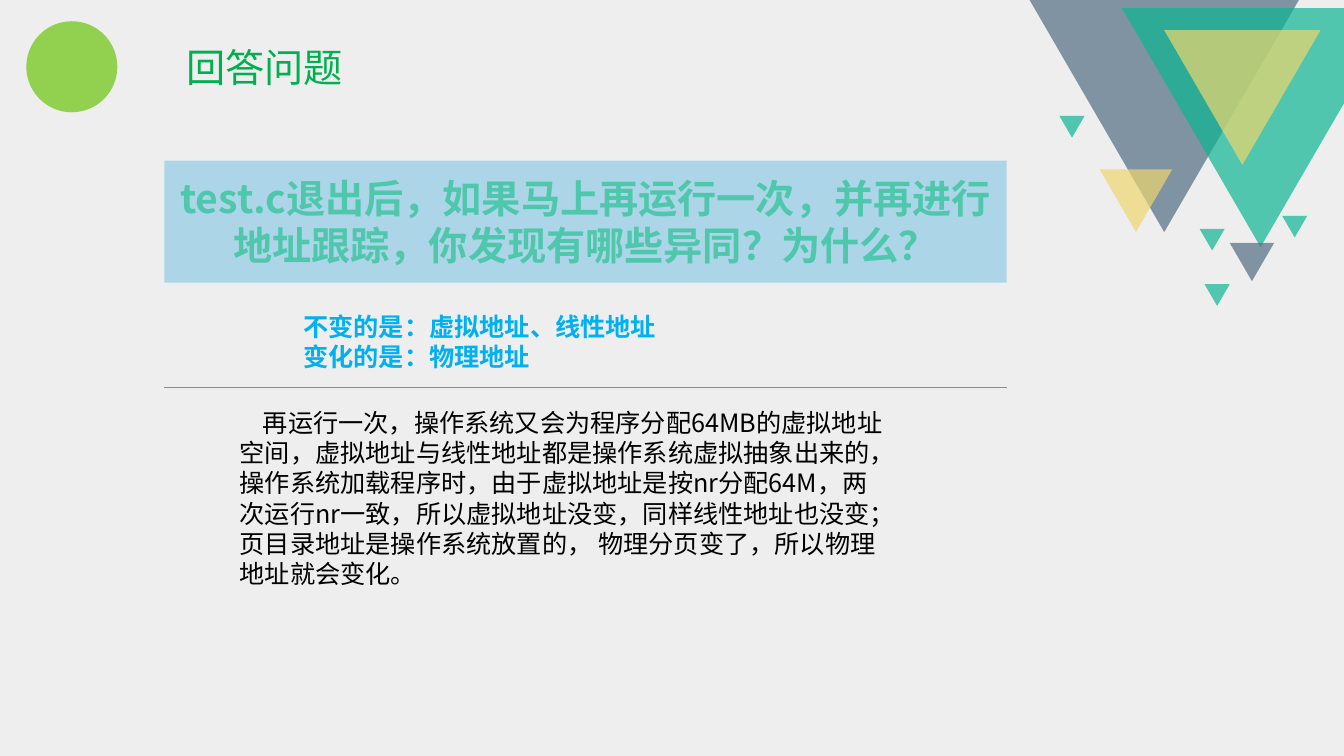
from dataclasses import dataclass

from lxml import etree
from pptx import Presentation
from pptx.dml.color import RGBColor
from pptx.enum.shapes import MSO_CONNECTOR, MSO_SHAPE
from pptx.enum.text import MSO_ANCHOR, MSO_AUTO_SIZE, PP_ALIGN
from pptx.oxml.ns import qn
from pptx.util import Pt

TRIANGLE = MSO_SHAPE.ISOSCELES_TRIANGLE
OVAL = MSO_SHAPE.OVAL
RECTANGLE = MSO_SHAPE.RECTANGLE
STRAIGHT = MSO_CONNECTOR.STRAIGHT
MIDDLE = MSO_ANCHOR.MIDDLE
CENTER = PP_ALIGN.CENTER
FIT_SHAPE = MSO_AUTO_SIZE.SHAPE_TO_FIT_TEXT


@dataclass(frozen=True)
class Theme:
    background: str = "EEEEEE"
    slate: str = "516D82"
    teal: str = "0CB692"
    yellow: str = "EED66F"
    badge: str = "92D050"
    title: str = "00B050"
    banner: str = "159FDD"
    question: str = "4FC7AD"
    answer: str = "00B0F0"
    body: str = "000000"
    rule: str = "8C8C8C"
    title_font: str = "League Spartan"
    text_font: str = "Noto Sans CJK SC"
    heading_size: int = 28
    body_size: int = 18


theme = Theme()
presentation = Presentation()
presentation.slide_width = Pt(960)
presentation.slide_height = Pt(540)
slide = presentation.slides.add_slide(presentation.slide_layouts[6])
slide.background.fill.solid()
slide.background.fill.fore_color.rgb = RGBColor.from_string(theme.background)


def add_filled(kind, left, top, width, height, color, opacity=100):
    shape = slide.shapes.add_shape(kind, Pt(left), Pt(top), Pt(width), Pt(height))
    shape.shadow.inherit = False
    shape.line.fill.background()
    shape.fill.solid()
    shape.fill.fore_color.rgb = RGBColor.from_string(color)
    if opacity < 100:
        color_element = shape.fill._xPr.find(qn("a:solidFill"))[0]
        etree.SubElement(color_element, qn("a:alpha"), val=str(opacity * 1000))
    return shape


def write(paragraph, text, size, color, font=theme.text_font, bold=False):
    run = paragraph.add_run()
    run.text = text
    run.font.size = Pt(size)
    run.font.bold = bold
    run.font.name = font
    run.font.color.rgb = RGBColor.from_string(color)
    etree.SubElement(run.font._element, qn("a:ea"), typeface=font)


triangles = [
    (720, -26.6, 223.2, theme.slate),
    (801.4, 5.8, 198, theme.teal),
    (831.6, 21.6, 111.6, theme.yellow),
    (785.5, 121, 51.8, theme.yellow),
    (915.8, 154.1, 18, theme.teal),
    (860.4, 203, 18, theme.teal),
    (856.8, 163.4, 18, theme.teal),
    (878.4, 173.5, 31.7, theme.slate),
    (756.7, 82.8, 18, theme.teal),
]
for left, top, width, color in triangles:
    triangle = add_filled(TRIANGLE, left, top, width, width * 0.862, color, 70)
    triangle.rotation = 180

add_filled(OVAL, 18.8, 15.2, 65, 65, theme.badge)

banner = add_filled(RECTANGLE, 117.5, 114.7, 601.5, 87.2, theme.banner, 30)
banner.text_frame.word_wrap = True
banner.text_frame.vertical_anchor = MIDDLE
question = banner.text_frame.paragraphs[0]
question.alignment = CENTER
write(question, "test.c退出后，如果马上再运行一次，并再进行地址跟踪，你发现有哪些异同？为什么？",
      theme.heading_size, theme.question, bold=True)

explanation = (
    "再运行一次，操作系统又会为程序分配64MB的虚拟地址空间，"
    "虚拟地址与线性地址都是操作系统虚拟抽象出来的，"
    "操作系统加载程序时，由于虚拟地址是按nr分配64M，两次运行nr一致，"
    "所以虚拟地址没变，同样线性地址也没变；"
    "页目录地址是操作系统放置的， 物理分页变了，所以物理地址就会变化。"
)
text_boxes = [
    ((126, 27.4, 127.4, 41), False, 0, ["回答问题"],
     (theme.heading_size, theme.title, theme.title_font, False)),
    ((164.2, 287.3, 480.2, 138.2), True, 16.5, [explanation],
     (theme.body_size, theme.body, theme.text_font, False)),
    ((209.5, 218.9, 289.4, 51.1), False, 0,
     ["不变的是：虚拟地址、线性地址", "变化的是：物理地址"],
     (theme.body_size, theme.answer, theme.text_font, True)),
]
for bounds, wrap, indent, lines, style in text_boxes:
    text_box = slide.shapes.add_textbox(*map(Pt, bounds))
    text_frame = text_box.text_frame
    text_frame.word_wrap = wrap
    text_frame.auto_size = FIT_SHAPE
    for index, line in enumerate(lines):
        paragraph = text_frame.add_paragraph() if index else text_frame.paragraphs[0]
        if indent:
            paragraph._p.get_or_add_pPr().set("indent", str(Pt(indent)))
        write(paragraph, line, *style)

divider = slide.shapes.add_connector(STRAIGHT, Pt(117.5), Pt(276.5), Pt(719), Pt(276.5))
divider.line.width = Pt(0.5)
divider.line.color.rgb = RGBColor.from_string(theme.rule)
etree.SubElement(divider._element.spPr, qn("a:effectLst"))

presentation.save("out.pptx")
